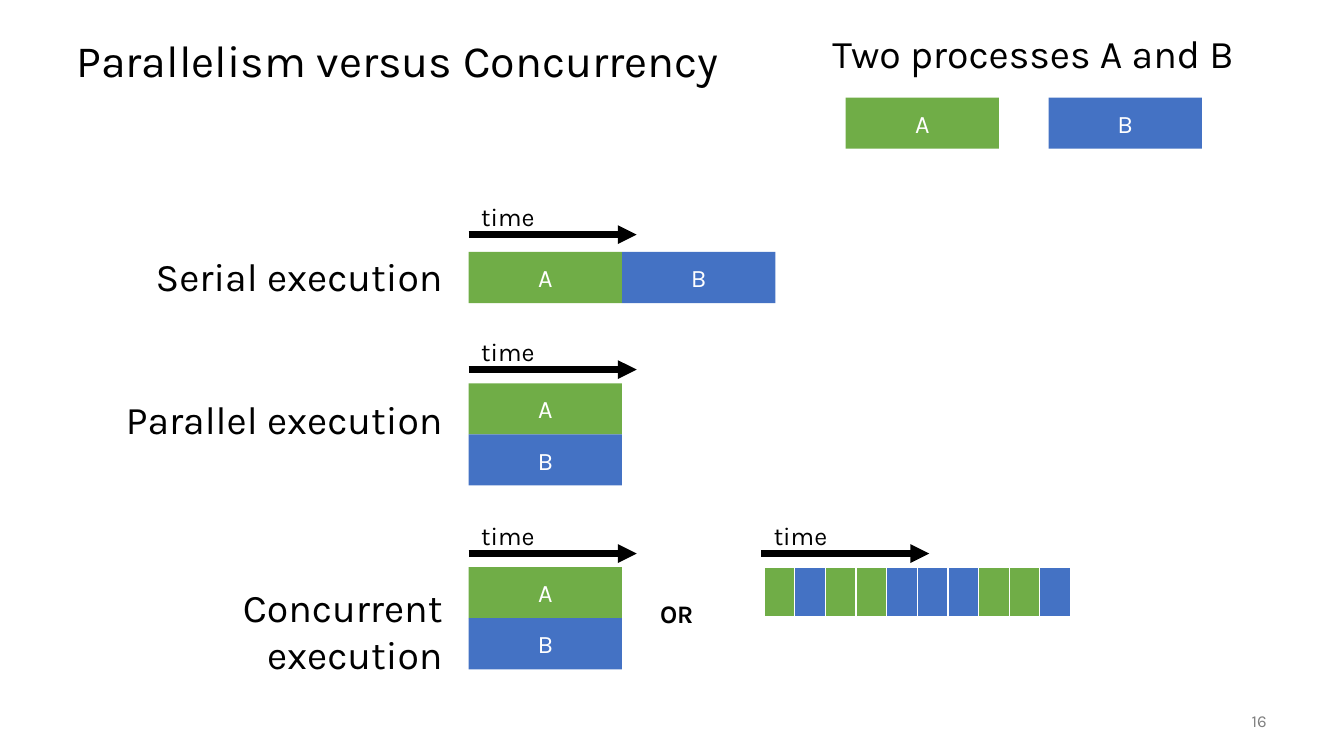
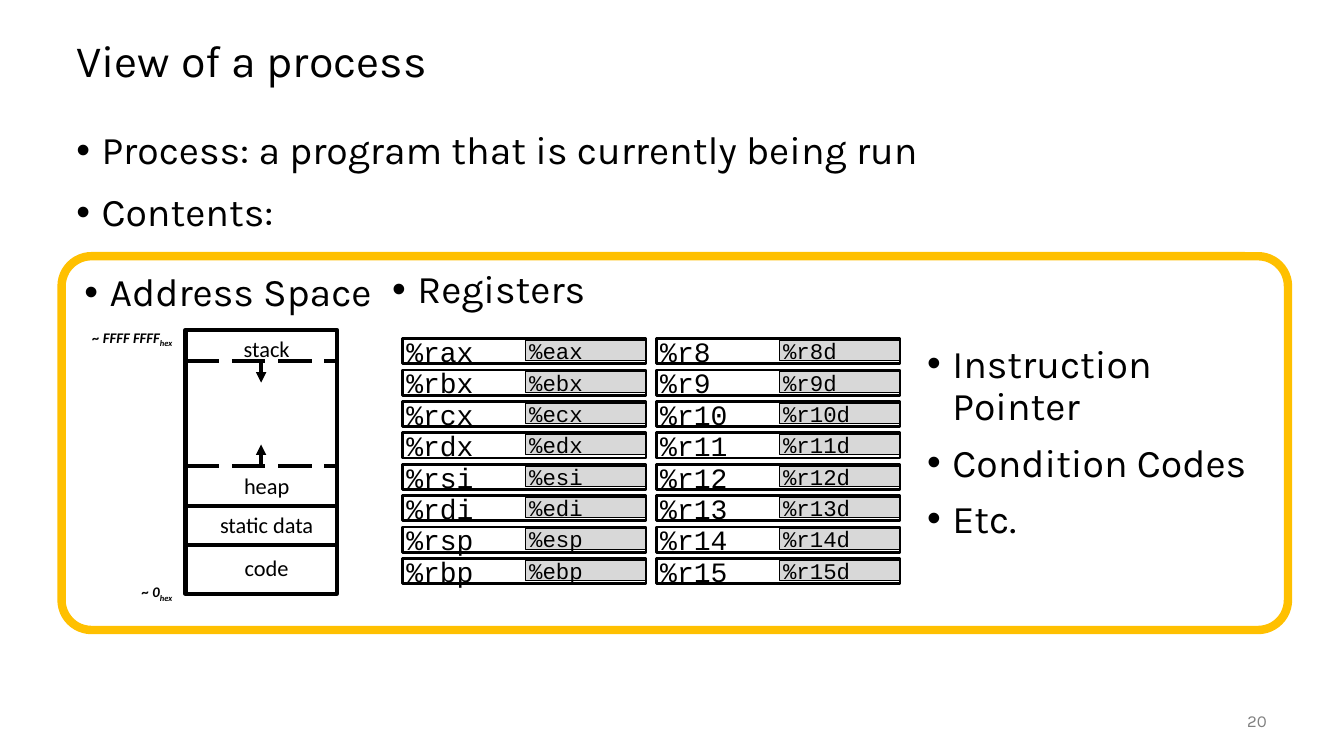
from lxml.etree import SubElement as Sub
from pptx import Presentation
from pptx.dml.color import RGBColor as RGB
from pptx.enum.dml import MSO_LINE as Dash
from pptx.enum.shapes import MSO_CONNECTOR as Link, MSO_SHAPE as Form
from pptx.enum.text import MSO_ANCHOR as Anchor, PP_ALIGN as Align
from pptx.oxml.ns import qn
from pptx.util import Pt

HUES = {"black": "000000", "white": "FFFFFF", "gray": "808080", "pale": "D8D8D8",
        "A": "70AD47", "B": "4472C4", "gold": "FFC000"}
MID = Anchor.MIDDLE


def box(slide, text, at, size=18, hue="black", font="Karla", align=Align.LEFT, anchor=Anchor.TOP,
        form=None, fill=None, edge=None, width=1, inset=None, lead=None):
    """Add a text box, or a preset shape when form is given."""
    at = [Pt(n) for n in at]
    if form is None:
        shape = slide.shapes.add_textbox(*at)
    else:
        shape = slide.shapes.add_shape(form, *at)
        shape.shadow.inherit = False
        if fill:
            shape.fill.solid()
            shape.fill.fore_color.rgb = RGB.from_string(HUES[fill])
        else:
            shape.fill.background()
        if edge:
            shape.line.color.rgb = RGB.from_string(HUES[edge])
            shape.line.width = Pt(width)
        else:
            shape.line.fill.background()
    frame = shape.text_frame
    frame.word_wrap = True
    frame.vertical_anchor = anchor
    if inset is not None:
        frame.margin_left = frame.margin_right = Pt(inset)
        frame.margin_top = frame.margin_bottom = Pt(inset)
    frame.text = text
    for para in frame.paragraphs:
        para.alignment = align
        if lead:
            para.line_spacing = lead
        for run in para.runs:
            run.font.size = Pt(size)
            run.font.name = font
            run.font.color.rgb = RGB.from_string(HUES[hue])
    return shape


def rule(slide, start, end, width, head=False):
    """Add a straight black line, with an arrowhead at its end if head is set."""
    link = slide.shapes.add_connector(Link.STRAIGHT, *[Pt(n) for n in (*start, *end)])
    link.line.color.rgb = RGB.from_string(HUES["black"])
    link.line.width = Pt(width)
    props = link._element.spPr
    if head:
        Sub(props.find(qn("a:ln")), qn("a:tailEnd"), type="triangle")
    Sub(props, qn("a:effectLst"))
    return link


deck = Presentation()
deck.slide_width, deck.slide_height = Pt(960), Pt(540)
pages = []
for title, page in [("Parallelism versus Concurrency", "16"), ("View of a process", "20")]:
    slide = deck.slides.add_slide(deck.slide_layouts[6])
    box(slide, title, (47.5, 18, 864, 54), 32, anchor=MID, lead=0.9)
    box(slide, page, (840, 500.5, 72, 29), 12, "gray", align=Align.RIGHT, anchor=MID)
    pages.append(slide)
first, second = pages

# Parallelism and concurrency
BAR_W, BAR_H, LEFT = 109.5, 36.5, 334.8
box(first, "Two processes A and B", (587.5, 21, 337, 80), 28, lead=0.9)
bars = [("A", 604, 69.8), ("B", 749, 69.8),
        ("A", LEFT, 180), ("B", LEFT + BAR_W, 180)]
for top in (273.8, 405.1):
    bars += [("A", LEFT, top), ("B", LEFT, top + BAR_H)]
for name, x, y in bars:
    box(first, name, (x, y, BAR_W, BAR_H), 18, "white", align=Align.CENTER,
        anchor=MID, form=Form.RECTANGLE, fill=name)

for x, y in [(LEFT, 167.6), (LEFT, 264), (LEFT, 395.4), (543.8, 395.4)]:
    rule(first, (x, y), (x + 120, y), 4.5, head=True)
    box(first, "time", (x + 1.8, y - 27, 60, 29))

for text, y in [("Serial execution", 177), ("Parallel execution", 278.5),
                ("Concurrent execution", 413)]:
    box(first, text, (73, y, 250.2, 40), 28, align=Align.RIGHT)
either = box(first, "OR", (464.4, 423.5, 69, 29))
either.text_frame.paragraphs[0].runs[0].font.bold = True

turns = "ABAABBBAAB"
STEP = 21.9
grid = first.shapes.add_table(1, len(turns), Pt(545.8), Pt(405.4),
                              Pt(STEP * len(turns)), Pt(36)).table
grid.first_row = grid.horz_banding = False
for col, name in enumerate(turns):
    grid.columns[col].width = Pt(STEP)
    cell = grid.cell(0, col)
    props = cell._tc.get_or_add_tcPr()
    for side, width in [("L", 1), ("R", 1), ("T", 1), ("B", 3)]:
        line = Sub(props, qn("a:ln" + side), w=str(Pt(width)))
        Sub(Sub(line, qn("a:solidFill")), qn("a:srgbClr"), val=HUES["white"])
    cell.fill.solid()
    cell.fill.fore_color.rgb = RGB.from_string(HUES[name])

# View of a process
lists = [
    ("Process: a program that is currently being run\nContents:", (47.5, 90, 864, 90), 14),
    ("Address Space", (53.3, 191.5, 233, 50), 10),
    ("Registers", (273, 189.4, 414, 47.5), 10),
    ("Instruction Pointer\nCondition Codes\nEtc.", (655.2, 242.6, 265, 150), 10),
]
for text, at, gap in lists:
    frame = box(second, text, at, 28, lead=0.9).text_frame
    for i, para in enumerate(frame.paragraphs):
        if i:
            para.space_before = Pt(gap)
        props = para._p.get_or_add_pPr()
        props.set("marL", str(Pt(18)))
        props.set("indent", str(Pt(-18)))
        Sub(props, qn("a:buFont"), typeface="Arial")
        Sub(props, qn("a:buChar"), char="•")

# Address space
MEM_X, MEM_W = 132.5, 108
STACK, HEAP = 257.8, 333
free = box(second, "", (MEM_X, STACK, MEM_W, HEAP - STACK), form=Form.RECTANGLE,
           fill="white", edge="white")
for y, height, width in [(235.5, 188.7, 3), (389.5, 34.7, 1), (361.5, 28, 3)]:
    box(second, "", (MEM_X, y, MEM_W, height), form=Form.RECTANGLE, edge="black", width=width)
mid = MEM_X + MEM_W / 2
for y, shift, site in [(HEAP, -15.5, 2), (STACK, 15.5, 0)]:
    dash = rule(second, (MEM_X, y), (MEM_X + MEM_W, y), 3)
    dash.line.dash_style = Dash.LONG_DASH
    arrow = rule(second, (mid, y), (mid, y + shift), 2.5, head=True)
    arrow.begin_connect(free, site)
for text, y in [("stack", 235.5), ("heap", 333.5), ("static data", 361.5), ("code", 392.5)]:
    box(second, text, (145, y, 91, 24), 16, font="Calibri", align=Align.CENTER)
for text, y in [("~ FFFF FFFF", 231), ("~ 0", 412.8)]:
    para = box(second, text, (47.5, y, 82.7, 15), 10.5, font="Calibri",
               align=Align.RIGHT).text_frame.paragraphs[0]
    base = para.add_run()
    base.text = "hex"
    base._r.get_or_add_rPr().set("baseline", "-25000")
    for run in para.runs:
        run.font.size = Pt(10.5)
        run.font.name = "Calibri"
        run.font.color.rgb = RGB.from_string(HUES["black"])
        run.font.bold = run.font.italic = True

# Registers, each with its lower half
names = ["rax", "rbx", "rcx", "rdx", "rsi", "rdi", "rsp", "rbp"]
pairs = [[(n, "e" + n[1:]) for n in names],
         [(f"r{n}", f"r{n}d") for n in range(8, 16)]]
for col, column in enumerate(pairs):
    for row, (full, half) in enumerate(column):
        x, y = 287.3 + 181.4 * col, 241.9 + 22.42 * row
        box(second, "%" + half, (x + 87.8, y + 1.4, 86.4, 14.4), 16, font="Courier New",
            anchor=MID, form=Form.RECTANGLE, fill="pale", edge="black", width=0.75, inset=2.9)
        box(second, "%" + full, (x, y, 174.2, 18), 20, font="Courier New",
            anchor=MID, form=Form.RECTANGLE, edge="black", width=2, inset=2.9)

border = box(second, "", (44, 183, 876, 267), form=Form.ROUNDED_RECTANGLE, edge="gold", width=6)
border.adjustments[0] = 0.08

deck.save("out.pptx")
